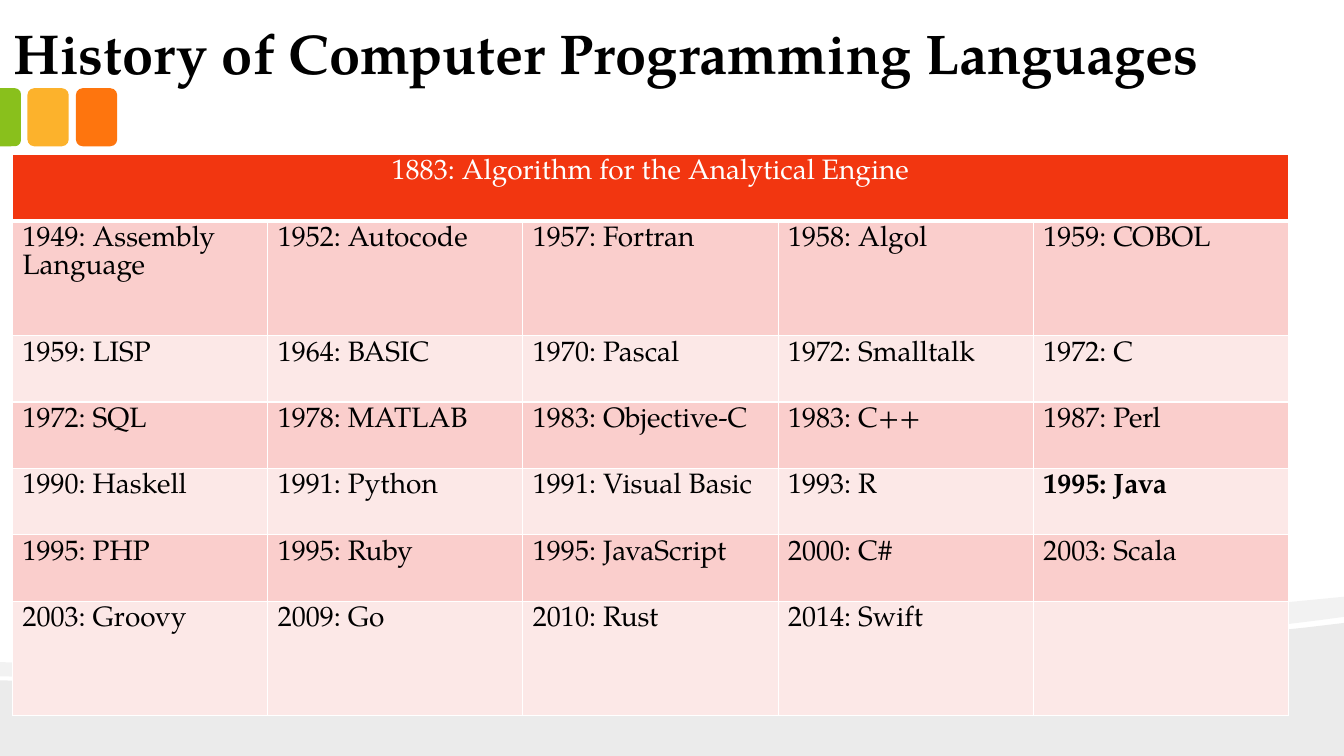
from dataclasses import dataclass

from lxml import etree
from pptx import Presentation
from pptx.dml.color import RGBColor
from pptx.enum.shapes import MSO_SHAPE
from pptx.enum.text import MSO_ANCHOR, PP_ALIGN
from pptx.oxml.ns import qn
from pptx.util import Pt

ROUNDED = MSO_SHAPE.ROUNDED_RECTANGLE
ROUNDED_TOP = MSO_SHAPE.ROUND_2_SAME_RECTANGLE
BOTTOM = MSO_ANCHOR.BOTTOM
CENTER, LEFT = PP_ALIGN.CENTER, PP_ALIGN.LEFT

BLACK = RGBColor(0x00, 0x00, 0x00)
WHITE = RGBColor(0xFF, 0xFF, 0xFF)
ORANGE = RGBColor(0xFE, 0x75, 0x0E)
AMBER = RGBColor(0xFC, 0xB2, 0x2C)
GREEN = RGBColor(0x89, 0xC0, 0x1C)
HEADER_RED = RGBColor(0xF2, 0x36, 0x10)
ROW_FILLS = (RGBColor(0xFA, 0xCE, 0xCC), RGBColor(0xFC, 0xE8, 0xE7))

FONT = "TeX Gyre Pagella"
SLIDE_WIDTH, SLIDE_HEIGHT = 960, 540
CURVE_STEPS = 24

Point = tuple[float, float]


@dataclass
class Wave:
    """A closed band: straight corners and cubic curves of three points."""
    start: Point
    segments: list[list[Point]]
    opacity: int


@dataclass
class Tab:
    left: float
    top: float
    width: float
    height: float
    color: RGBColor
    preset: int = ROUNDED
    rotation: float = 0
    adjustments: tuple[float, ...] = ()


WAVES = [
    Wave((960, 444.96), [[(960, 540)], [(0, 540)], [(0, 486)],
                         [(253.44, 491.76), (750.24, 471.6), (960, 444.96)]], 8),
    Wave((960, 426.24), [[(960, 440.64)],
                         [(903.6, 448.56), (827.28, 455.76), (740.88, 461.52)],
                         [(502.56, 477.36), (185.76, 487.44), (0, 483.12)],
                         [(0, 473.04)],
                         [(469.44, 476.64), (699.12, 451.44), (960, 426.24)]], 5),
]

TABS = [
    Tab(54.2, 63, 29.5, 41.5, ORANGE),
    Tab(19.6, 63, 29.5, 41.5, AMBER),
    Tab(-13.25, 76.25, 41.5, 15, GREEN, ROUNDED_TOP, 90, (0.292, 0)),
]

HEADING = "1883: Algorithm for the Analytical Engine"
LANGUAGES = [
    ["1949: Assembly Language", "1952: Autocode", "1957: Fortran", "1958: Algol", "1959: COBOL"],
    ["1959: LISP", "1964: BASIC", "1970: Pascal", "1972: Smalltalk", "1972: C"],
    ["1972: SQL", "1978: MATLAB", "1983: Objective-C", "1983: C++", "1987: Perl"],
    ["1990: Haskell", "1991: Python", "1991: Visual Basic", "1993: R", "1995: Java"],
    ["1995: PHP", "1995: Ruby", "1995: JavaScript", "2000: C#", "2003: Scala"],
    ["2003: Groovy", "2009: Go", "2010: Rust", "2014: Swift", ""],
]
HIGHLIGHT = "1995: Java"
COLUMN_WIDTH = 182.3
ROW_HEIGHT, TALL_ROW_HEIGHT = 47.4, 82
TALL_ROWS = (1, 6)


def curve_points(start: Point, controls: list[Point]) -> list[Point]:
    """Sample a cubic curve, leaving out its start."""
    points = []
    for step in range(1, CURVE_STEPS + 1):
        t = step / CURVE_STEPS
        weights = ((1 - t) ** 3, 3 * t * (1 - t) ** 2, 3 * t ** 2 * (1 - t), t ** 3)
        x, y = (sum(weight * point[axis] for weight, point in zip(weights, [start, *controls]))
                for axis in (0, 1))
        points.append((x, y))
    return points


def add_wave(slide, wave: Wave) -> None:
    points = [wave.start]
    for segment in wave.segments:
        points += curve_points(points[-1], segment) if len(segment) == 3 else segment
    scaled = [(Pt(x), Pt(y)) for x, y in points]
    builder = slide.shapes.build_freeform(*scaled[0])
    builder.add_line_segments(scaled[1:], close=True)
    shape = builder.convert_to_shape()
    shape.shadow.inherit = False
    shape.line.fill.background()
    shape.fill.solid()
    shape.fill.fore_color.rgb = BLACK
    color = shape.fill._xPr.find(qn("a:solidFill"))[0]
    etree.SubElement(color, qn("a:alpha"), val=str(wave.opacity * 1000))


def add_tab(slide, tab: Tab) -> None:
    shape = slide.shapes.add_shape(tab.preset, Pt(tab.left), Pt(tab.top),
                                   Pt(tab.width), Pt(tab.height))
    shape.rotation = tab.rotation
    for index, value in enumerate(tab.adjustments):
        shape.adjustments[index] = value
    shape.shadow.inherit = False
    shape.line.fill.background()
    shape.fill.solid()
    shape.fill.fore_color.rgb = tab.color


def style_paragraph(paragraph, size: float, color: RGBColor, bold: bool) -> None:
    paragraph.font.name = FONT
    paragraph.font.size = Pt(size)
    paragraph.font.color.rgb = color
    paragraph.font.bold = bold


def add_title(slide, text: str) -> None:
    box = slide.shapes.add_textbox(Pt(0), Pt(0.7), Pt(924), Pt(65.5))
    frame = box.text_frame
    frame.word_wrap = True
    frame.vertical_anchor = BOTTOM
    frame.margin_left = frame.margin_right = Pt(9.6)
    frame.margin_top = frame.margin_bottom = Pt(4.8)
    frame.text = text
    style_paragraph(frame.paragraphs[0], 40, BLACK, True)


def set_borders(cell, top: float, bottom: float) -> None:
    properties = cell._tc.get_or_add_tcPr()
    for side, width in (("L", 1), ("R", 1), ("T", top), ("B", bottom)):
        line = etree.SubElement(properties, qn(f"a:ln{side}"), w=str(Pt(width)))
        fill = etree.SubElement(line, qn("a:solidFill"))
        etree.SubElement(fill, qn("a:srgbClr"), val=str(WHITE))


def add_language_table(slide) -> None:
    rows = [[HEADING, "", "", "", ""], *LANGUAGES]
    heights = [TALL_ROW_HEIGHT if row in TALL_ROWS else ROW_HEIGHT for row in range(len(rows))]
    columns = len(rows[0])
    table = slide.shapes.add_table(len(rows), columns, Pt(8.9), Pt(110.4),
                                   Pt(COLUMN_WIDTH * columns), Pt(sum(heights))).table
    table.horz_banding = False
    table.first_row = False
    for column in table.columns:
        column.width = Pt(COLUMN_WIDTH)
    table.cell(0, 0).merge(table.cell(0, columns - 1))

    for row_index, texts in enumerate(rows):
        table.rows[row_index].height = Pt(heights[row_index])
        is_header = row_index == 0
        for column_index, text in enumerate(texts):
            cell = table.cell(row_index, column_index)
            set_borders(cell, top=3 if row_index == 1 else 1, bottom=3 if is_header else 1)
            cell.fill.solid()
            cell.fill.fore_color.rgb = HEADER_RED if is_header else ROW_FILLS[(row_index - 1) % 2]
            if text:
                cell.text = text
            paragraph = cell.text_frame.paragraphs[0]
            paragraph.alignment = CENTER if is_header else LEFT
            style_paragraph(paragraph, 20, WHITE if is_header else BLACK, text == HIGHLIGHT)


def main() -> None:
    presentation = Presentation()
    presentation.slide_width = Pt(SLIDE_WIDTH)
    presentation.slide_height = Pt(SLIDE_HEIGHT)
    slide = presentation.slides.add_slide(presentation.slide_layouts[6])

    # Background decoration
    for wave in WAVES:
        add_wave(slide, wave)
    for tab in TABS:
        add_tab(slide, tab)

    # Content
    add_title(slide, "History of Computer Programming Languages")
    add_language_table(slide)

    presentation.save("out.pptx")


if __name__ == "__main__":
    main()
